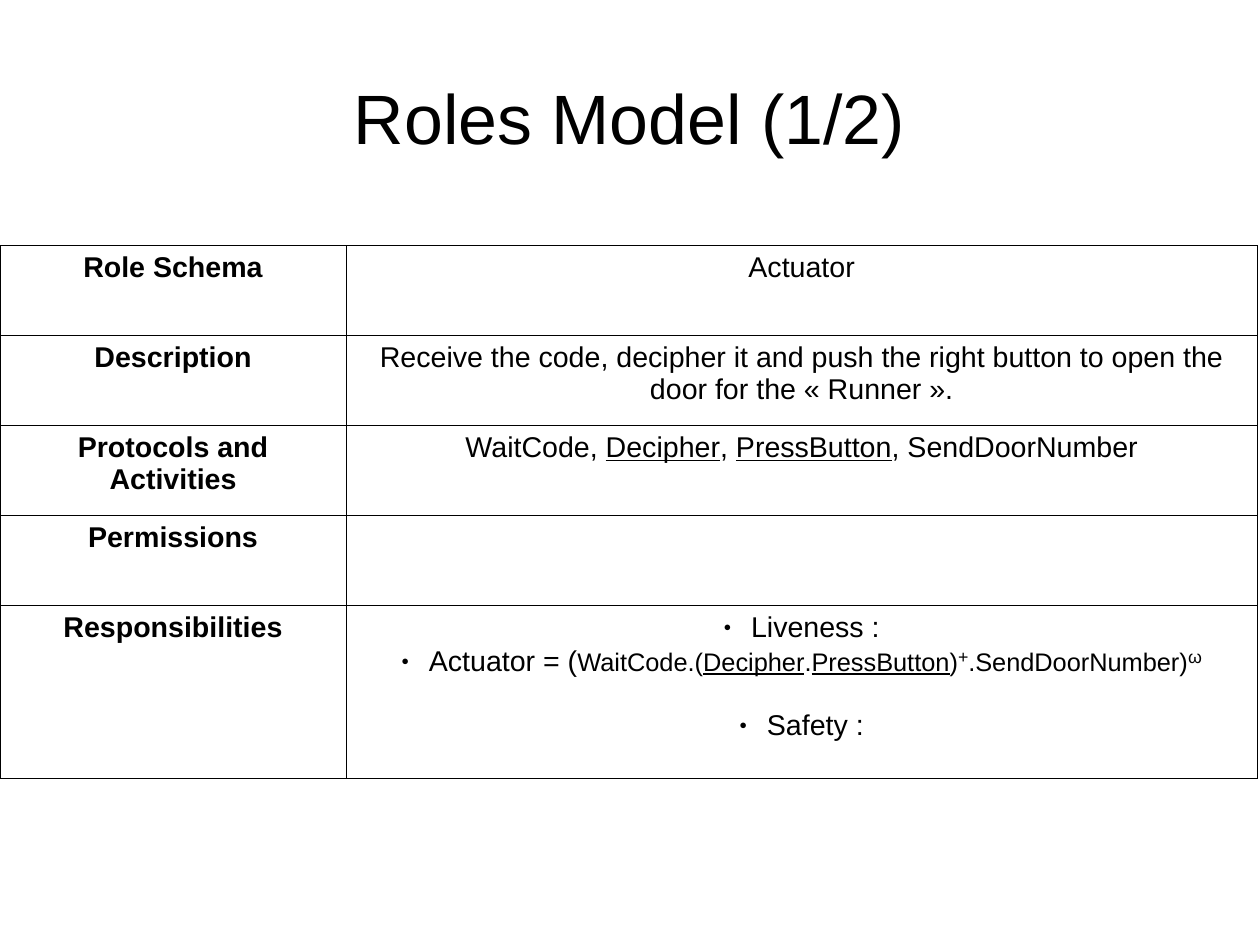
from lxml import etree
from pptx import Presentation
from pptx.dml.color import RGBColor
from pptx.enum.text import MSO_ANCHOR, PP_ALIGN
from pptx.oxml.ns import qn
from pptx.util import Pt

MID = MSO_ANCHOR.MIDDLE
CENTER = PP_ALIGN.CENTER

# Content: each row is a label and its lines; a line is a list of (text, style)
TITLE = "Roles Model (1/2)"
ROWS = [
    ("Role Schema", [[("Actuator", "")]]),
    ("Description", [[("Receive the code, decipher it and push the right button "
                       "to open the door for the « Runner ».", "")]]),
    ("Protocols and Activities", [[
        ("WaitCode, ", ""), ("Decipher", "under"), (", ", ""),
        ("PressButton", "under"), (", SendDoorNumber", "")]]),
    ("Permissions", []),
    ("Responsibilities", [
        [("Liveness :", "")],
        [("Actuator = (", ""), ("WaitCode.(", "small"), ("Decipher", "small under"),
         (".", "small"), ("PressButton", "small under"), (")", "small"),
         ("+", "super"), (".SendDoorNumber)", "small"), ("ω", "super")],
        [("Safety :", "")]]),
]
COLORS = {"ink": "000000"}
FONT = "Arial"
SIZES = {"title": 44, "body": 18, "small": 16, "super": 19.3}
WIDTHS = (218, 574)
HEIGHTS = (56.7, 56.7, 56.7, 56.7, 109)
TOP = 154.8
INDENT = 17.3
GAP = 20  # one empty line above the last bullet
LINE = 0.57

INK = RGBColor.from_string(COLORS["ink"])


def style(para, size, bold=False):
    para.alignment = CENTER
    font = para.font
    font.name, font.size, font.bold = FONT, Pt(size), bold
    font.color.rgb = INK


def bullet(para):
    props = para._p.get_or_add_pPr()
    props.set("marL", str(Pt(INDENT)))
    props.set("indent", str(-Pt(INDENT)))
    color = etree.SubElement(props, qn("a:buClr"))
    etree.SubElement(color, qn("a:srgbClr"), val=COLORS["ink"])
    etree.SubElement(props, qn("a:buSzPct"), val="45000")
    etree.SubElement(props, qn("a:buFont"), typeface=FONT)
    etree.SubElement(props, qn("a:buChar"), char="●")


def border(cell):
    props = cell._tc.get_or_add_tcPr()
    for side in ("lnL", "lnR", "lnT", "lnB"):
        line = etree.SubElement(props, qn("a:" + side), w=str(Pt(LINE)))
        fill = etree.SubElement(line, qn("a:solidFill"))
        etree.SubElement(fill, qn("a:srgbClr"), val=COLORS["ink"])
    cell.fill.background()


def write(cell, lines, bold=False):
    frame = cell.text_frame
    for i, line in enumerate(lines):
        para = frame.paragraphs[0] if i == 0 else frame.add_paragraph()
        if len(lines) > 1:
            if i == len(lines) - 1:
                para.space_before = Pt(GAP)
            bullet(para)
        style(para, SIZES["body"], bold)
        for text, look in line:
            run = para.add_run()
            run.text = text
            for kind in look.split():
                if kind == "under":
                    run.font.underline = True
                else:
                    run.font.size = Pt(SIZES[kind])
                if kind == "super":
                    run.font._element.set("baseline", "24000")


# Slide (280 by 210 mm) and title
deck = Presentation()
deck.slide_width, deck.slide_height = Pt(793.7), Pt(595.28)
slide = deck.slides.add_slide(deck.slide_layouts[5])
title = slide.shapes.title
title.left, title.top, title.width, title.height = Pt(39.6), Pt(23.8), Pt(714.2), Pt(99.4)
frame = title.text_frame
frame.text = TITLE
frame.vertical_anchor = MID
frame.margin_left = frame.margin_right = frame.margin_top = frame.margin_bottom = 0
style(frame.paragraphs[0], SIZES["title"])

# Role table
table = slide.shapes.add_table(len(ROWS), len(WIDTHS), 0, Pt(TOP),
                               Pt(sum(WIDTHS)), Pt(sum(HEIGHTS))).table
table.first_row = table.horz_banding = False
for col, width in zip(table.columns, WIDTHS):
    col.width = Pt(width)
for r, (label, lines) in enumerate(ROWS):
    table.rows[r].height = Pt(HEIGHTS[r])
    write(table.cell(r, 0), [[(label, "")]], bold=True)
    write(table.cell(r, 1), lines)
for cell in table.iter_cells():
    border(cell)

deck.save("out.pptx")
